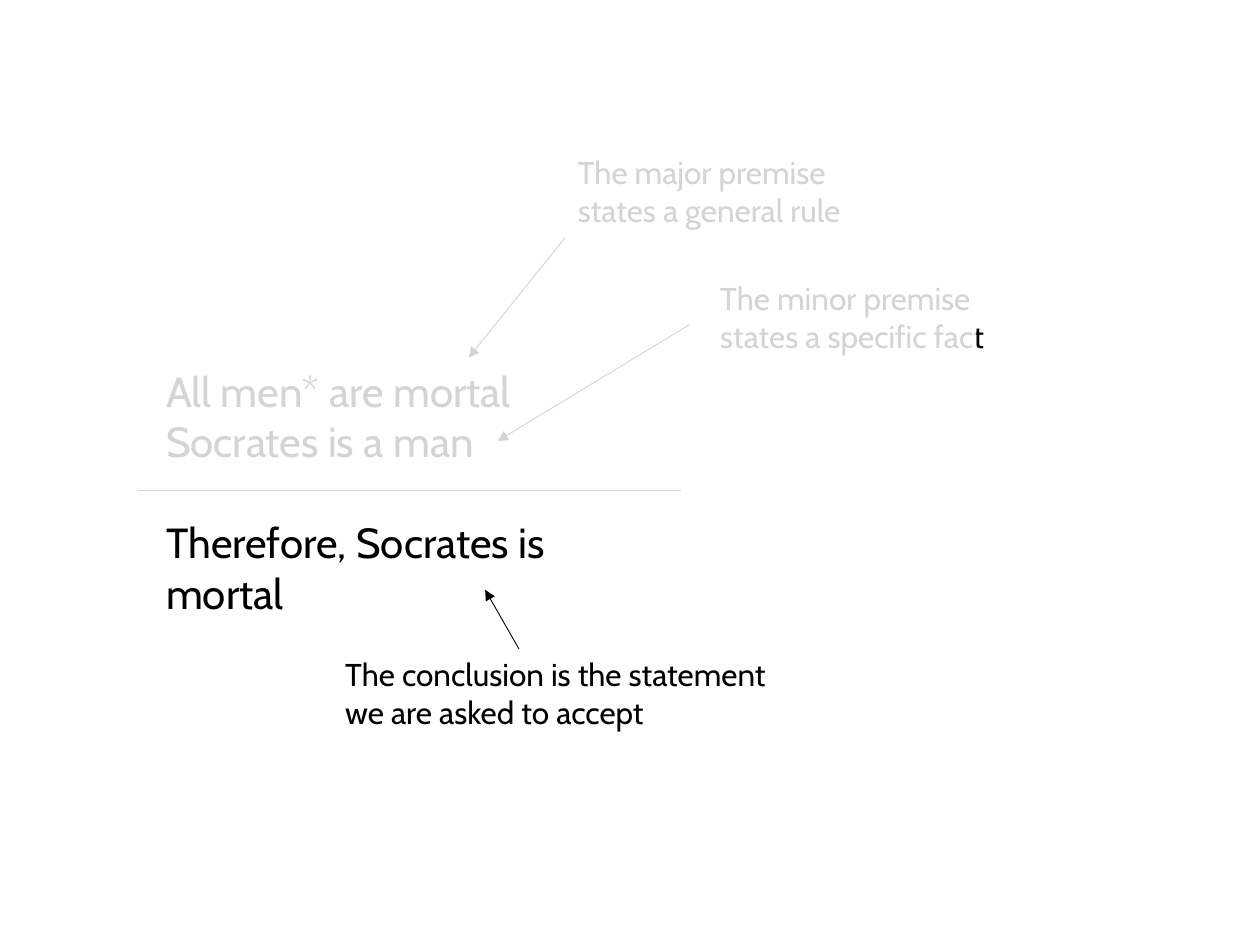
from lxml.etree import SubElement
from pptx import Presentation
from pptx.dml.color import RGBColor
from pptx.enum.shapes import MSO_CONNECTOR, MSO_SHAPE
from pptx.enum.text import MSO_AUTO_SIZE
from pptx.oxml.ns import qn
from pptx.util import Cm, Pt

COLORS = {"ink": "000000", "veil": "FFFFFF"}
FONT = "Cabin"
VEIL_OPACITY = 83

ARGUMENT = [
    ("All men* are mortal", 0),
    ("Socrates is a man", 0),
    ("Therefore, Socrates is mortal", 29),
]
ARGUMENT_BOX = (3.1, 7.24, 10.63, 4.37)
INFERENCE_LINE = (2.77, 9.88, 13.72, 9.88)
NOTES = [
    ("The major premise states a general rule",
     (11.4, 2.97, 7.01, 1.8), (11.4, 4.78, 9.45, 7.21)),
    ("The minor premise states a specific fact",
     (14.27, 5.51, 7.01, 1.8), (13.89, 6.55, 10.03, 8.89)),
    ("The conclusion is the statement we are asked to accept",
     (6.71, 13.08, 9.42, 1.8), (10.46, 13.08, 9.78, 11.89)),
]
VEIL_BOX = (1.8, 2.21, 17.88, 7.87)


def color(name):
    return RGBColor.from_string(COLORS[name])


def lengths(values):
    return [Cm(value) for value in values]


def add_text(slide, box, lines, size):
    frame = slide.shapes.add_textbox(*lengths(box)).text_frame
    frame.word_wrap = True
    frame.auto_size = MSO_AUTO_SIZE.SHAPE_TO_FIT_TEXT
    for index, (text, gap) in enumerate(lines):
        paragraph = frame.add_paragraph() if index else frame.paragraphs[0]
        if gap:
            paragraph.space_before = Pt(gap)
        run = paragraph.add_run()
        run.text = text
        run.font.name = FONT
        run.font.size = Pt(size)
        run.font.color.rgb = color("ink")


def add_line(slide, ends, arrow=False):
    line = slide.shapes.add_connector(MSO_CONNECTOR.STRAIGHT, *lengths(ends))
    line.line.color.rgb = color("ink")
    line.line.width = Pt(0.5)
    if arrow:
        SubElement(line.line._get_or_add_ln(), qn("a:tailEnd"), type="triangle")
    SubElement(line._element.spPr, qn("a:effectLst"))


def add_veil(slide):
    veil = slide.shapes.add_shape(MSO_SHAPE.RECTANGLE, *lengths(VEIL_BOX))
    veil.shadow.inherit = False
    veil.line.fill.background()
    veil.fill.solid()
    veil.fill.fore_color.rgb = color("veil")
    tint = veil._element.spPr.find(qn("a:solidFill")).find(qn("a:srgbClr"))
    SubElement(tint, qn("a:alpha"), val=str(VEIL_OPACITY * 1000))


def main():
    deck = Presentation()
    deck.slide_width, deck.slide_height = lengths((25.4, 19.05))
    slide = deck.slides.add_slide(deck.slide_layouts[6])
    add_text(slide, ARGUMENT_BOX, ARGUMENT, 24)
    add_line(slide, INFERENCE_LINE)
    for note, box, arrow_ends in NOTES:
        add_text(slide, box, [(note, 0)], 18)
        add_line(slide, arrow_ends, arrow=True)
    add_veil(slide)
    deck.save("out.pptx")


if __name__ == "__main__":
    main()
